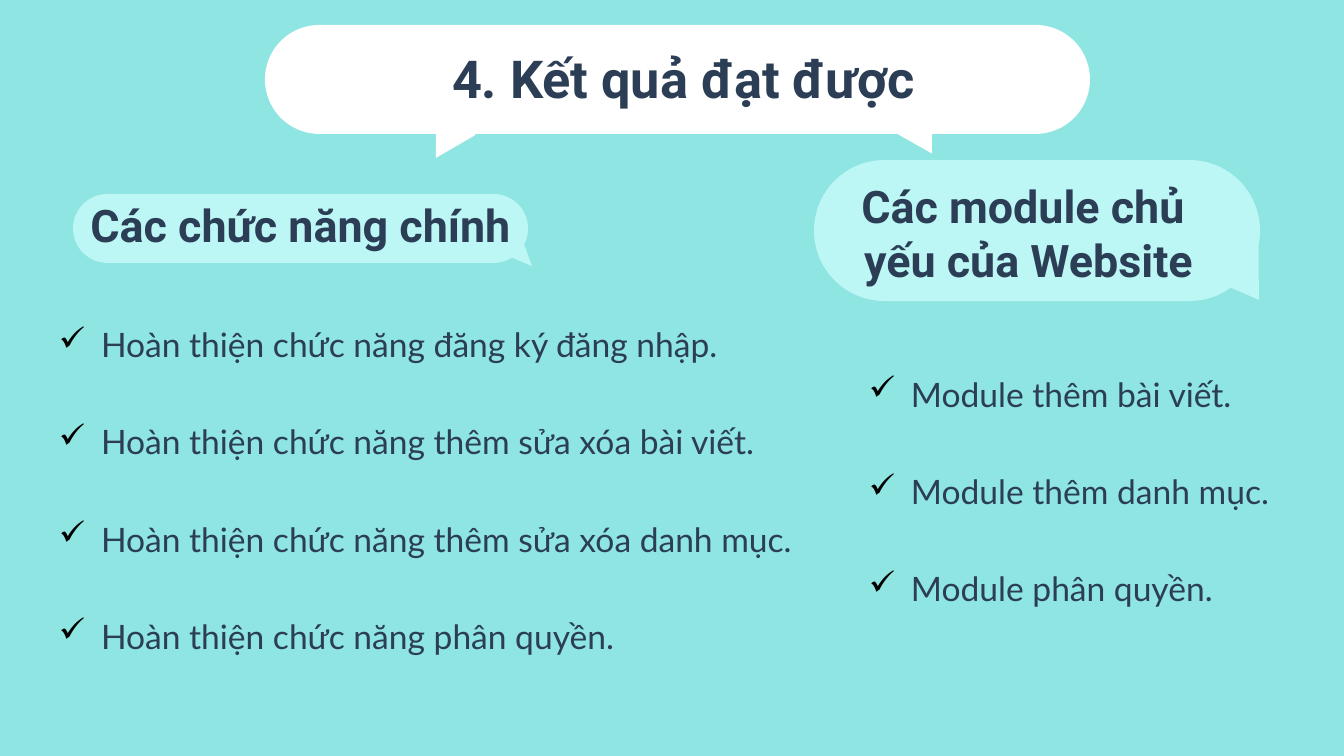
from lxml.etree import SubElement
from pptx import Presentation
from pptx.dml.color import RGBColor
from pptx.enum.shapes import MSO_SHAPE as Shape
from pptx.enum.text import MSO_ANCHOR as Anchor, PP_ALIGN as Align
from pptx.oxml.ns import qn
from pptx.util import Pt

PX = 914400 / 134.4
WIDTH, HEIGHT = 1344, 756
BACKGROUND, WHITE, PALE, NAVY, BLACK = "8FE5E2", "FFFFFF", "BCF7F5", "2B3E55", "000000"
INSET, INDENT = 13, 42

# Boxes are (left, top, width, height) in px; a tail is (box, rotation).
BUBBLES = [
    {"fill": WHITE, "body": (265, 25, 825, 109),
     "tails": [((899, 117, 46, 39), 150), ((423, 110, 46, 39), 330)],
     "text_box": (277, 39, 813, 78), "size": 28, "lines": ["4. Kết quả đạt được"]},
    {"fill": PALE, "body": (73, 194, 455, 69),
     "tails": [((492, 233, 47, 25), 23.6)],
     "text_box": (46, 186, 520, 78), "size": 24, "lines": ["Các chức năng chính "]},
    {"fill": PALE, "body": (814, 160, 446, 141),
     "tails": [((1226, 242, 45, 51), 23.6)],
     "text_box": (828, 194, 401, 78), "size": 24,
     "lines": ["Các module chủ ", "yếu của Website"]},
]
CHECKLISTS = [
    ((46, 300, 802, 368), [
        "Hoàn thiện chức năng đăng ký đăng nhập.",
        "Hoàn thiện chức năng thêm sửa xóa bài viết.",
        "Hoàn thiện chức năng thêm sửa xóa danh mục.",
        "Hoàn thiện chức năng phân quyền.",
    ]),
    ((856, 301, 492, 368), [
        "Module thêm bài viết.",
        "Module thêm danh mục.",
        "Module phân quyền.",
    ]),
]


def px(length):
    return round(length * PX)


def color(code):
    return RGBColor.from_string(code)


def add_filled(slide, preset, box, fill, rotation=0):
    shape = slide.shapes.add_shape(preset, *map(px, box))
    shape.shadow.inherit = False
    shape.fill.solid()
    shape.fill.fore_color.rgb = color(fill)
    shape.line.fill.background()
    shape.rotation = rotation
    return shape


def add_lines(slide, box, lines, font_name, size, bold, align, inset_y):
    """Add a middle-anchored text box, one paragraph a line, and return the paragraphs."""
    frame = slide.shapes.add_textbox(*map(px, box)).text_frame
    frame.word_wrap = True
    frame.vertical_anchor = Anchor.MIDDLE
    frame.margin_left = frame.margin_right = px(INSET)
    frame.margin_top = frame.margin_bottom = px(inset_y)
    frame.text = "\n".join(lines)
    for paragraph in frame.paragraphs:
        paragraph.alignment = align
        font = paragraph.font
        font.name, font.size, font.bold = font_name, Pt(size), bold
        font.color.rgb = color(NAVY)
    return frame.paragraphs


def add_check(paragraph):
    """Give the paragraph a hanging black check mark."""
    props = paragraph._p.get_or_add_pPr()
    props.set("marL", str(px(INDENT)))
    props.set("indent", str(-px(INDENT)))
    bullet_color = SubElement(props, qn("a:buClr"))
    SubElement(bullet_color, qn("a:srgbClr"), val=BLACK)
    SubElement(props, qn("a:buChar"), char="✓")
    # Bullet elements must stand before the default run properties.
    props.append(props.find(qn("a:defRPr")))


def add_bubble(slide, bubble):
    body = add_filled(slide, Shape.ROUNDED_RECTANGLE, bubble["body"], bubble["fill"])
    body.adjustments[0] = 0.5
    for box, rotation in bubble["tails"]:
        add_filled(slide, Shape.ISOSCELES_TRIANGLE, box, bubble["fill"], rotation)
    add_lines(slide, bubble["text_box"], bubble["lines"], "Roboto", bubble["size"],
              True, Align.CENTER, INSET)


def add_checklist(slide, box, items):
    paragraphs = add_lines(slide, box, items, "Lato", 18, False, Align.JUSTIFY, INSET / 2)
    for index, paragraph in enumerate(paragraphs):
        paragraph.line_spacing = 1.3
        paragraph.space_before = Pt(12 if index else 0)
        paragraph.space_after = Pt(12)
        add_check(paragraph)


def main():
    deck = Presentation()
    deck.slide_width, deck.slide_height = px(WIDTH), px(HEIGHT)
    slide = deck.slides.add_slide(deck.slide_layouts[6])
    slide.background.fill.solid()
    slide.background.fill.fore_color.rgb = color(BACKGROUND)
    for bubble in BUBBLES:
        add_bubble(slide, bubble)
    for box, items in CHECKLISTS:
        add_checklist(slide, box, items)
    deck.save("out.pptx")


if __name__ == "__main__":
    main()
